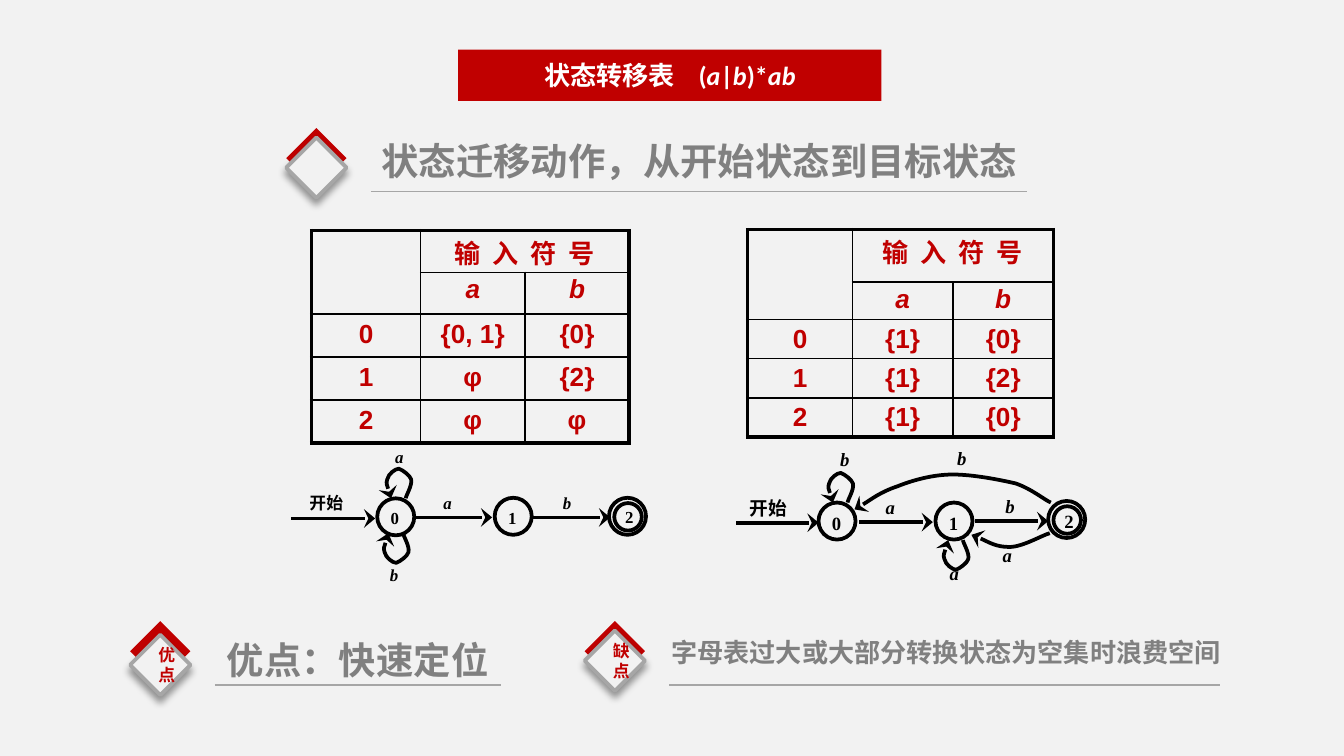
from lxml import etree
from pptx import Presentation
from pptx.dml.color import RGBColor
from pptx.enum.shapes import MSO_CONNECTOR, MSO_SHAPE
from pptx.enum.text import MSO_ANCHOR, MSO_AUTO_SIZE, PP_ALIGN
from pptx.oxml import parse_xml
from pptx.oxml.ns import nsdecls, qn
from pptx.util import Cm, Pt

RED = RGBColor(0xC0, 0x00, 0x00)
GRAY = RGBColor(0x80, 0x80, 0x80)
RULE_GRAY = RGBColor(0xA6, 0xA6, 0xA6)
PALE = RGBColor(0xF2, 0xF2, 0xF2)
WHITE = RGBColor(0xFF, 0xFF, 0xFF)
BLACK = RGBColor(0x00, 0x00, 0x00)
CJK, SERIF, SANS, LATIN = "Noto Sans CJK SC", "Times New Roman", "Arial", "Calibri"
RECTANGLE, OVAL, DIAMOND = MSO_SHAPE.RECTANGLE, MSO_SHAPE.OVAL, MSO_SHAPE.FLOWCHART_DECISION
STRAIGHT = MSO_CONNECTOR.STRAIGHT
LEFT, CENTER = PP_ALIGN.LEFT, PP_ALIGN.CENTER
TOP, MIDDLE = MSO_ANCHOR.TOP, MSO_ANCHOR.MIDDLE
GROW = MSO_AUTO_SIZE.SHAPE_TO_FIT_TEXT
BOX_INSETS = (0.18, 0.1, 0.18, 0.1)
LABEL_INSETS = (0.15, 0.08, 0.15, 0.08)
STATE_SIZE, INNER_SIZE, DIAMOND_SIZE = 0.7, 0.52, 1.14
THICK, THIN = 2.25, 1
LOOP = [(0.38, 0), (0.38, -0.05), (0.51, -0.25), (0.48, -0.36), (0.46, -0.43), (0.33, -0.53),
        (0.25, -0.56), (0.18, -0.56), (0.05, -0.46), (0.03, -0.36), (0, -0.28), (0.08, -0.08), (0.1, 0)]
LONG_RETURN = [(19.86, 9.5), (19.74, 9.45), (19.51, 9.25), (19.2, 9.14), (18.9, 9.07),
               (18.39, 8.97), (18.01, 8.97), (17.65, 8.97), (17.27, 9.07), (16.97, 9.19),
               (16.64, 9.3), (16.31, 9.55), (16.15, 9.63)]
SHORT_RETURN = [(19.84, 10.08), (19.71, 10.11), (19.33, 10.34), (19.08, 10.34),
                (18.82, 10.34), (18.52, 10.16), (18.36, 10.11)]


def add_run(paragraph, text, font, size, color, italic=False, spacing=0):
    """Add one bold run, with letter spacing in points."""
    run = paragraph.add_run()
    run.text = text
    run.font.name, run.font.size = font, Pt(size)
    run.font.bold, run.font.italic = True, italic
    run.font.color.rgb = color
    properties = run.font._element
    etree.SubElement(properties, qn("a:ea")).set("typeface", CJK)
    if spacing:
        properties.set("spc", str(round(spacing * 100)))


def set_margins(target, insets):
    """Set left, top, right and bottom margins of a text frame or cell."""
    target.margin_left, target.margin_top, target.margin_right, target.margin_bottom = map(Cm, insets)


def add_text(shapes, text, left, top, width, height, size, color=GRAY, font=CJK,
             italic=False, insets=BOX_INSETS, wrap=False, align=LEFT):
    """Add a text box with a single run and return its paragraph."""
    frame = shapes.add_textbox(Cm(left), Cm(top), Cm(width), Cm(height)).text_frame
    frame.word_wrap = wrap
    if not wrap:
        frame.auto_size = GROW
    set_margins(frame, insets)
    paragraph = frame.paragraphs[0]
    paragraph.alignment = align
    add_run(paragraph, text, font, size, color, italic)
    return paragraph


def add_preset(shapes, kind, left, top, width, height, fill=None, line=None):
    """Add a preset shape without a theme shadow."""
    shape = shapes.add_shape(kind, Cm(left), Cm(top), Cm(width), Cm(height))
    shape.shadow.inherit = False
    if fill is None:
        shape.fill.background()
    else:
        shape.fill.solid()
        shape.fill.fore_color.rgb = fill
    if line is None:
        shape.line.fill.background()
    else:
        set_line(shape, line, 2)
    return shape


def set_line(shape, color, width, arrow=False):
    """Set a solid line, with an optional arrowhead at its end."""
    shape.line.color.rgb = color
    shape.line.width = Pt(width)
    if arrow:
        head = etree.SubElement(shape.line._get_or_add_ln(), qn("a:tailEnd"))
        head.set("type", "stealth")
        head.set("w", "lg")


def add_line(shapes, start, end, top, color, width, arrow=False):
    """Add a horizontal line."""
    connector = shapes.add_connector(STRAIGHT, Cm(start), Cm(top), Cm(end), Cm(top))
    set_line(connector, color, width, arrow)
    etree.SubElement(connector._element.spPr, qn("a:effectLst"))


def add_curve(shapes, points):
    """Add an arrow along chained cubic curves."""
    first, *others = [(Cm(x), Cm(y)) for x, y in points]
    builder = shapes.build_freeform(*first)
    builder.add_line_segments(others, close=False)
    curve = builder.convert_to_shape()
    segments = list(curve._element.iter(qn("a:lnTo")))
    for index in range(0, len(segments), 3):
        cubic = etree.Element(qn("a:cubicBezTo"))
        segments[index].addprevious(cubic)
        for segment in segments[index:index + 3]:
            cubic.append(segment[0])
            segment.getparent().remove(segment)
    curve.shadow.inherit = False
    curve.fill.background()
    set_line(curve, BLACK, 2, True)


def add_state(shapes, label, left, top, size, accepting=False):
    """Add a numbered state, double ringed if accepting."""
    shape = add_preset(shapes, OVAL, left, top, STATE_SIZE, STATE_SIZE, line=BLACK)
    insets = (0.15, 0.08, 0.05, 0.13)
    if accepting:
        shape = add_preset(shapes, OVAL, left + 0.1, top + 0.1, INNER_SIZE, INNER_SIZE, line=BLACK)
        insets = (0.13, 0, 0.03, 0)
    frame = shape.text_frame
    frame.vertical_anchor = TOP
    set_margins(frame, insets)
    frame.paragraphs[0].alignment = LEFT
    add_run(frame.paragraphs[0], label, SERIF, size, BLACK)


def add_automaton(slide, size, start, states, arrows, labels, loops, curves=()):
    """Add a state diagram as one group."""
    shapes = slide.shapes.add_group_shape().shapes
    for number, (left, top) in enumerate(states):
        add_state(shapes, str(number), left, top, size, number == len(states) - 1)
    for arrow in arrows:
        add_line(shapes, *arrow, BLACK, 2, True)
    for left, top, direction in loops:
        add_curve(shapes, [(left + x, top + direction * y) for x, y in LOOP])
    for curve in curves:
        add_curve(shapes, curve)
    add_text(shapes, "开始", *start, 1.17, 0.66, size, BLACK, SERIF, insets=LABEL_INSETS, wrap=True)
    for text, left, top in labels:
        add_text(shapes, text, left, top, 0.58, 0.56, size, BLACK, SERIF, True, LABEL_INSETS, True)


def set_borders(cell, row, column, rows, columns):
    """Draw thick outer and thin inner cell borders."""
    last_row = row + (cell.span_height if cell.is_merge_origin else 1) == rows
    last_column = column + (cell.span_width if cell.is_merge_origin else 1) == columns
    outer = {"L": column == 0, "R": last_column, "T": row == 0, "B": last_row}
    properties = cell._tc.get_or_add_tcPr()
    for side, is_outer in outer.items():
        if is_outer or not cell.is_spanned:
            width = Pt(THICK if is_outer else THIN)
            properties.append(parse_xml(
                f'<a:ln{side} {nsdecls("a")} w="{width}"><a:solidFill>'
                f'<a:srgbClr val="{BLACK}"/></a:solidFill></a:ln{side}>'))
    cell.fill.background()


def add_transition_table(slide, left, top, widths, heights, body):
    """Add a transition table with a merged two-row header."""
    rows = [["", "输 入 符 号", ""], ["", "a", "b"], *body]
    table = slide.shapes.add_table(len(rows), len(widths), Cm(left), Cm(top),
                                   Cm(sum(widths)), Cm(sum(heights))).table
    table.first_row = table.horz_banding = False
    for column, width in zip(table.columns, widths):
        column.width = Cm(width)
    for row, height in zip(table.rows, heights):
        row.height = Cm(height)
    table.cell(0, 0).merge(table.cell(1, 0))
    table.cell(0, 1).merge(table.cell(0, 2))
    for row, texts in enumerate(rows):
        for column, text in enumerate(texts):
            cell = table.cell(row, column)
            set_margins(cell, (0.08, 0.05, 0.08, 0.05) if row < 2 else (0, 0.1, 0, 0))
            set_borders(cell, row, column, len(rows), len(widths))
            paragraph = cell.text_frame.paragraphs[0]
            if text:
                paragraph.alignment = CENTER
                add_run(paragraph, text, SANS, 14, RED, row == 1, 1.6 if row == 0 else 0)
            else:
                etree.SubElement(paragraph._p, qn("a:endParaRPr")).set("sz", "1000")


def add_marker(slide, left, top, offset, label=""):
    """Add a raised diamond over a red one."""
    shapes = slide.shapes.add_group_shape().shapes
    add_preset(shapes, DIAMOND, left, top, DIAMOND_SIZE, DIAMOND_SIZE, RED)
    front = add_preset(shapes, DIAMOND, left, top + offset, DIAMOND_SIZE, DIAMOND_SIZE, PALE, RULE_GRAY)
    effects = front._element.spPr.find(qn("a:effectLst"))
    effects.append(parse_xml(
        f'<a:outerShdw {nsdecls("a")} blurRad="{Pt(4)}" dist="{Pt(3)}" dir="5400000" rotWithShape="0">'
        f'<a:srgbClr val="{BLACK}"><a:alpha val="40000"/></a:srgbClr></a:outerShdw>'))
    if label:
        front.text_frame.vertical_anchor = MIDDLE
        front.text_frame.paragraphs[0].alignment = CENTER
        add_run(front.text_frame.paragraphs[0], label, CJK, 9, RED)


def add_title(slide):
    """Add the red title bar with the regular expression."""
    frame = add_preset(slide.shapes, RECTANGLE, 8.66, 0.94, 8, 0.97, RED).text_frame
    frame.vertical_anchor = MIDDLE
    set_margins(frame, BOX_INSETS)
    paragraph = frame.paragraphs[0]
    paragraph.alignment = CENTER
    add_run(paragraph, "状态转移表", CJK, 14, WHITE)
    add_run(paragraph, " ", CJK, 14, WHITE, spacing=9.4)
    for text in ("(", "a", "|", "b", ")*", "ab"):
        add_run(paragraph, text, LATIN, 14, WHITE, text.isalpha())


def main():
    """Build the state transition table slide."""
    presentation = Presentation()
    presentation.slide_width, presentation.slide_height = Cm(25.4), Cm(14.29)
    slide = presentation.slides.add_slide(presentation.slide_layouts[6])
    slide.background.fill.solid()
    slide.background.fill.fore_color.rgb = PALE
    shapes = slide.shapes
    add_title(slide)
    heading = add_text(shapes, "状态迁移动作，从开始状态到目标状态", 7.03, 2.61, 12.47, 0.94, 20)
    heading.line_spacing = 0.9
    add_line(shapes, 7.01, 19.41, 3.62, RULE_GRAY, 0.75)
    add_marker(slide, 5.41, 2.42, 0.18)
    add_transition_table(slide, 5.89, 4.36, [2.06, 1.97, 1.97], [0.79, 0.79] + [0.81] * 3,
                         [["0", "{0, 1}", "{0}"], ["1", "φ", "{2}"], ["2", "φ", "φ"]])
    add_transition_table(slide, 14.13, 4.34, [1.98, 1.9, 1.9], [0.99, 0.71] + [0.74] * 3,
                         [["0", "{1}", "{0}"], ["1", "{1}", "{2}"], ["2", "{1}", "{0}"]])
    add_automaton(slide, 9, (5.7, 9.24), [(7.13, 9.42), (9.35, 9.41), (11.51, 9.41)],
                  [(5.5, 7.09, 9.8), (7.87, 9.3, 9.78), (10.08, 11.53, 9.78)],
                  [("a", 8.23, 9.24), ("b", 10.49, 9.24), ("a", 7.32, 8.36), ("b", 7.22, 10.59)],
                  [(7.29, 9.42, 1), (7.24, 10.08, -1)])
    add_automaton(slide, 10, (14.02, 9.32), [(15.47, 9.5), (17.68, 9.5), (19.81, 9.47)],
                  [(13.91, 15.47, 9.88), (16.23, 17.63, 9.87), (18.42, 19.81, 9.85)],
                  [("a", 16.59, 9.3), ("b", 18.85, 9.27), ("b", 15.73, 8.38),
                   ("a", 17.8, 10.54), ("a", 18.8, 10.2), ("b", 17.94, 8.36)],
                  [(15.64, 9.5, 1), (17.82, 10.21, -1)], [SHORT_RETURN, LONG_RETURN])
    add_text(shapes, "优点：快速定位", 4.07, 11.94, 5.38, 1.04, 20, align=CENTER)
    add_line(shapes, 4.06, 9.47, 12.95, RULE_GRAY, 0.75)
    add_marker(slide, 2.46, 11.74, 0.26, "优点")
    add_text(shapes, "字母表过大或大部分转换状态为空集时浪费空间", 12.46, 11.93, 10.85, 0.79, 14, align=CENTER)
    add_line(shapes, 12.65, 23.06, 12.95, RULE_GRAY, 0.75)
    add_marker(slide, 11.05, 11.74, 0.18, "缺点")
    presentation.save("out.pptx")


if __name__ == "__main__":
    main()
